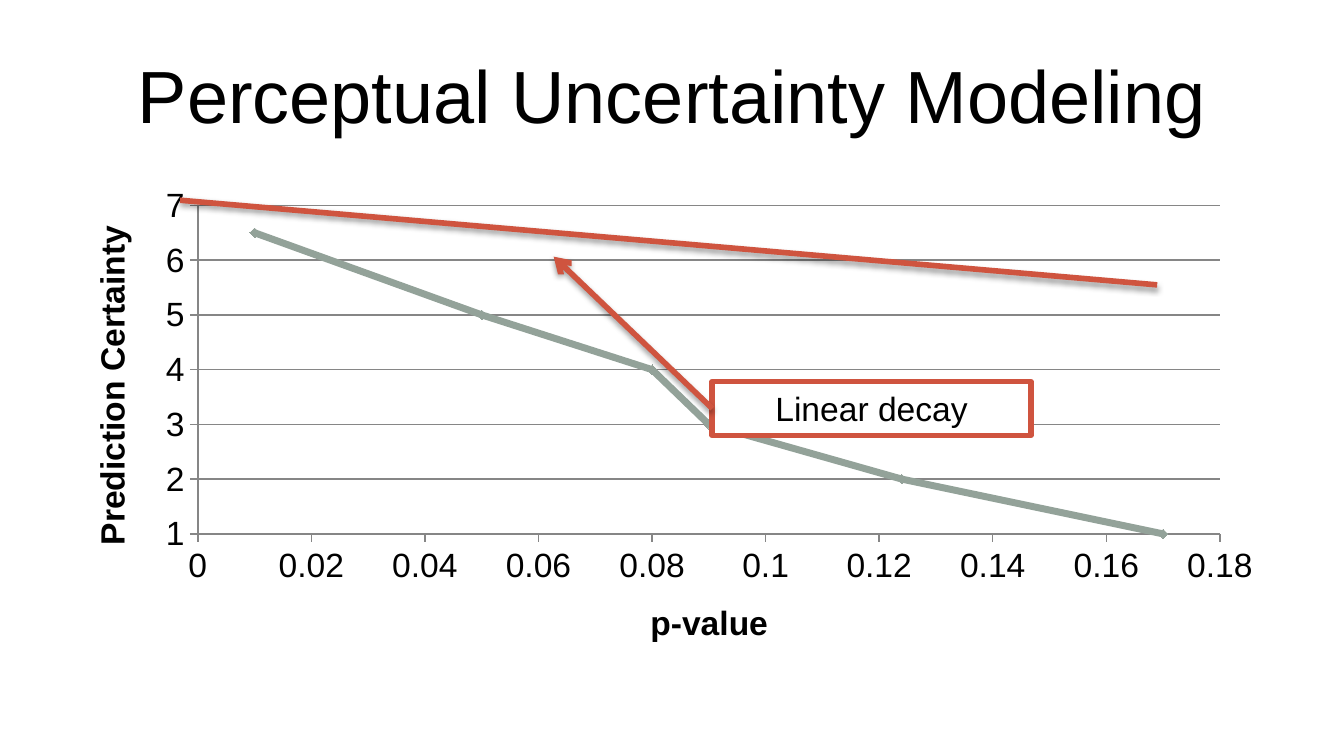
import dataclasses

import pptx
import pptx.chart.data
import pptx.dml.color
import pptx.enum.chart
import pptx.enum.shapes
import pptx.enum.text
import pptx.oxml
import pptx.oxml.ns
import pptx.util

Inches = pptx.util.Inches
Pt = pptx.util.Pt
RGBColor = pptx.dml.color.RGBColor


@dataclasses.dataclass(frozen=True)
class Theme:
    font: str = "Arial"
    title_size: float = 39.6
    body_size: float = 18
    line_width: float = 3
    series_width: float = 3.75
    text: RGBColor = RGBColor(0, 0, 0)
    paper: RGBColor = RGBColor(255, 255, 255)
    accent: RGBColor = RGBColor.from_string("CF543F")
    series: RGBColor = RGBColor.from_string("93A299")
    grid: RGBColor = RGBColor.from_string("868686")


THEME = Theme()
CERTAINTY = [(0.01, 6.5), (0.05, 5), (0.08, 4), (0.09, 3), (0.124, 2), (0.17, 1)]
PLOT_LAYOUT = {"x": 0.108, "y": 0.059, "w": 0.845, "h": 0.659}


def style_font(font, size, bold=False):
    font.name = THEME.font
    font.size = Pt(size)
    font.bold = bold
    font.color.rgb = THEME.text


def style_line(line, color, width):
    line.color.rgb = color
    line.width = Pt(width)


def set_text(shape, text, size):
    frame = shape.text_frame
    frame.word_wrap = True
    frame.vertical_anchor = pptx.enum.text.MSO_ANCHOR.MIDDLE
    frame.text = text
    para = frame.paragraphs[0]
    para.alignment = pptx.enum.text.PP_ALIGN.CENTER
    style_font(para.runs[0].font, size)


def add_title(page, text):
    title = page.shapes.title
    title.left, title.top = Inches(0.5), Inches(0.23)
    title.width, title.height = Inches(9), Inches(0.94)
    set_text(title, text, THEME.title_size)


def style_axis(axis, title, low, high, step):
    axis.minimum_scale, axis.maximum_scale = low, high
    axis.major_unit = step
    axis.major_tick_mark = pptx.enum.chart.XL_TICK_MARK.OUTSIDE
    axis.minor_tick_mark = pptx.enum.chart.XL_TICK_MARK.NONE
    axis.tick_labels.number_format = "General"
    axis.tick_labels.number_format_is_linked = False
    style_font(axis.tick_labels.font, THEME.body_size)
    style_line(axis.format.line, THEME.grid, 0.75)
    axis.axis_title.text_frame.text = title
    run = axis.axis_title.text_frame.paragraphs[0].runs[0]
    style_font(run.font, THEME.body_size, bold=True)


def fix_plot_area(chart):
    """Pin the inner plot area to fractions of the chart frame."""
    plot_area = chart.element.chart.plotArea
    for layout in plot_area.findall(pptx.oxml.ns.qn("c:layout")):
        plot_area.remove(layout)
    modes = '<c:xMode val="edge"/><c:yMode val="edge"/>'
    sizes = "".join(f'<c:{key} val="{value}"/>' for key, value in PLOT_LAYOUT.items())
    plot_area.insert(0, pptx.oxml.parse_xml(
        f'<c:layout {pptx.oxml.ns.nsdecls("c")}><c:manualLayout>'
        f'<c:layoutTarget val="inner"/>{modes}{sizes}</c:manualLayout></c:layout>'))


def add_certainty_chart(page):
    data = pptx.chart.data.XyChartData()
    points = data.add_series("Series 1")
    for p_value, certainty in CERTAINTY:
        points.add_data_point(p_value, certainty)
    chart = page.shapes.add_chart(
        pptx.enum.chart.XL_CHART_TYPE.XY_SCATTER_LINES,
        Inches(0.5), Inches(1.31), Inches(9), Inches(3.71), data).chart
    chart.has_title = False
    chart.has_legend = False
    style_font(chart.font, THEME.body_size)
    fix_plot_area(chart)

    # Axes and gridlines
    style_axis(chart.category_axis, "p-value", 0, 0.18, 0.02)
    style_axis(chart.value_axis, "Prediction Certainty", 1, 7, 1)
    chart.category_axis.has_major_gridlines = False
    chart.value_axis.has_major_gridlines = True
    style_line(chart.value_axis.major_gridlines.format.line, THEME.grid, 0.75)

    # Series
    chart.plots[0].vary_by_categories = False
    series = chart.plots[0].series[0]
    series.smooth = False
    style_line(series.format.line, THEME.series, THEME.series_width)
    series.marker.style = pptx.enum.chart.XL_MARKER_STYLE.DIAMOND
    series.marker.size = 5
    series.marker.format.fill.solid()
    series.marker.format.fill.fore_color.rgb = THEME.series
    series.marker.format.line.color.rgb = THEME.series


def add_line(page, start, end, arrow=False):
    line = page.shapes.add_connector(
        pptx.enum.shapes.MSO_CONNECTOR.STRAIGHT,
        *(Inches(value) for value in (*start, *end)))
    style_line(line.line, THEME.accent, THEME.line_width)
    namespace = pptx.oxml.ns.nsdecls("a")
    if arrow:
        line.line._get_or_add_ln().append(
            pptx.oxml.parse_xml(f'<a:tailEnd {namespace} type="arrow"/>'))
    # Soft shadow straight below the line
    line._element.spPr.append(pptx.oxml.parse_xml(
        f'<a:effectLst {namespace}><a:outerShdw blurRad="{Pt(3.1)}" dist="{Pt(1.6)}" '
        f'dir="5400000" rotWithShape="0"><a:srgbClr val="{THEME.text}">'
        '<a:alpha val="38000"/></a:srgbClr></a:outerShdw></a:effectLst>'))


def add_label(page, text):
    box = page.shapes.add_shape(
        pptx.enum.shapes.MSO_SHAPE.RECTANGLE,
        Inches(5.3), Inches(2.84), Inches(2.37), Inches(0.4))
    box.shadow.inherit = False
    box.fill.solid()
    box.fill.fore_color.rgb = THEME.paper
    style_line(box.line, THEME.accent, THEME.line_width)
    set_text(box, text, THEME.body_size)


def main():
    deck = pptx.Presentation()
    # Widescreen, 16:9
    deck.slide_width = Inches(10)
    deck.slide_height = Inches(10 * 9 / 16)
    page = deck.slides.add_slide(deck.slide_layouts.get_by_name("Title Only"))
    add_title(page, "Perceptual Uncertainty Modeling")
    add_certainty_chart(page)

    # Linear decay annotation
    add_line(page, (1.34, 1.49), (8.61, 2.12))
    add_label(page, "Linear decay")
    add_line(page, (5.3, 3.04), (4.12, 1.91), arrow=True)

    deck.save("out.pptx")


if __name__ == "__main__":
    main()
